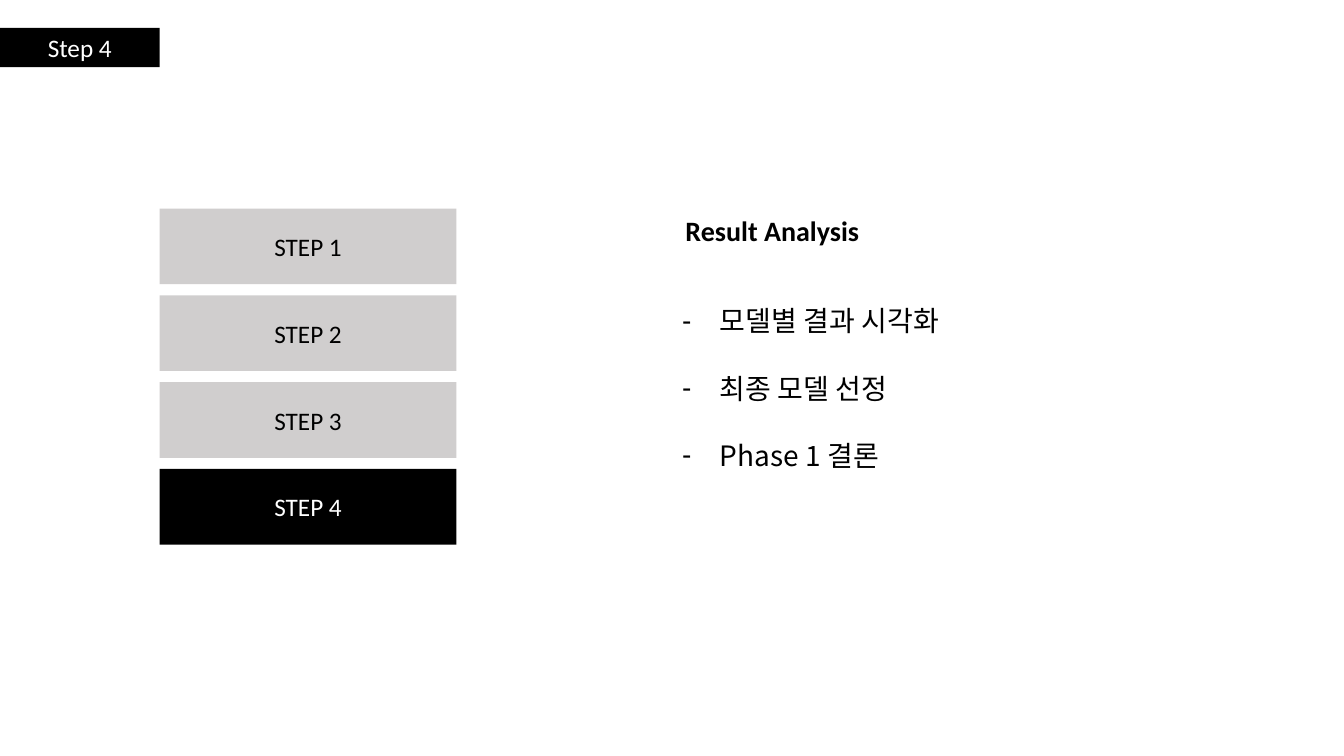
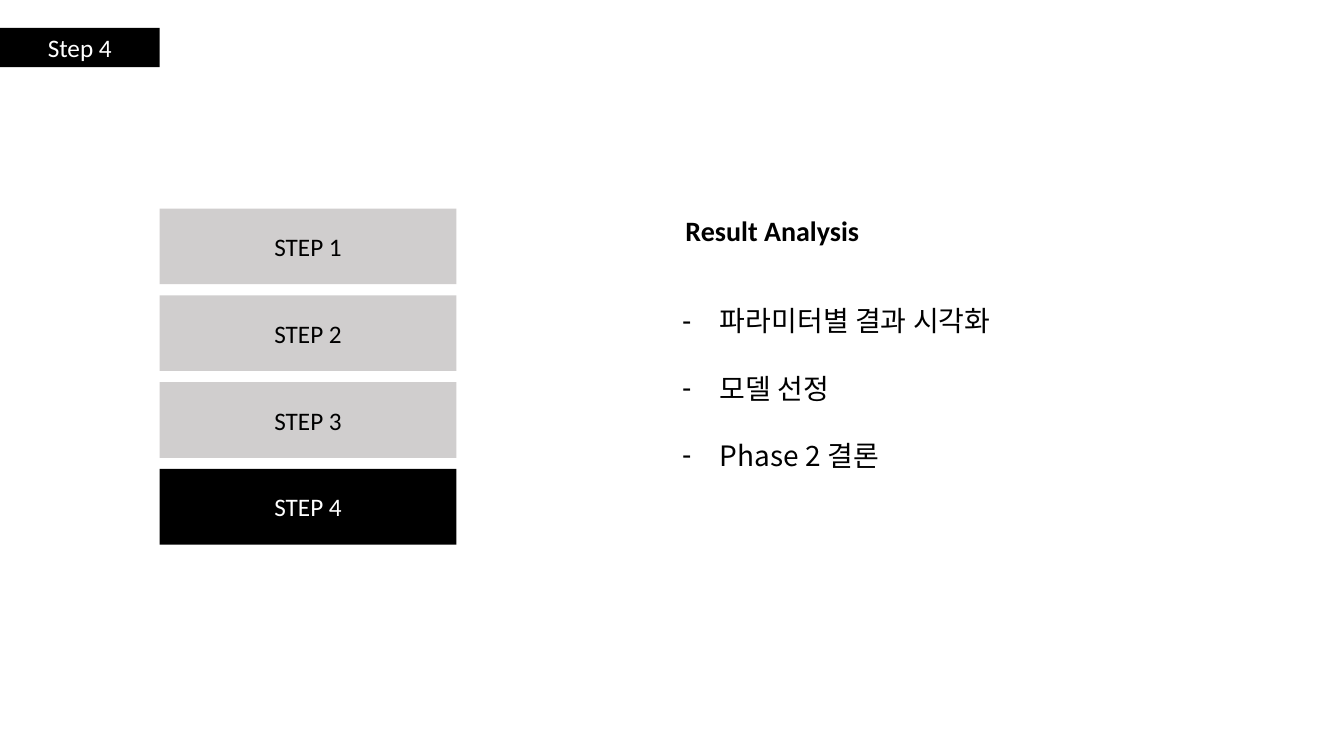
import pptx
import pptx.dml.color
import pptx.enum.shapes
import pptx.enum.text
import pptx.oxml.ns
import pptx.util
from lxml import etree

Pt = pptx.util.Pt
ALIGN = pptx.enum.text.PP_ALIGN
ANCHOR = pptx.enum.text.MSO_ANCHOR

STEPS = ["STEP 1", "STEP 2", "STEP 3", "STEP 4"]
CURRENT_STEP = "STEP 4"
BAND_LABEL = "Step 4"
SLIDES = [
    ("Result Analysis", ["모델별 결과 시각화", "최종 모델 선정", "Phase 1 결론"]),
    ("Result Analysis", ["파라미터별 결과 시각화", "모델 선정", "Phase 2 결론"]),
]

COLORS = {"black": "000000", "white": "FFFFFF", "grey": "D0CECE"}
LATIN_FONT = "Calibri"
KOREAN_FONT = "Noto Sans CJK KR"

# Left, top, width, height in points
BAND = (0, 20, 114, 28)
BAND_TEXT = (0, 19.5, 114, 29)
TITLE = (482.4, 149, 150.5, 31.5)
BODY = (480, 213.5, 392, 128)
STEP_LEFT, STEP_TOP, STEP_WIDTH, STEP_HEIGHT = 114, 149, 212, 54
STEP_PITCH = 62
BULLET_INDENT = 27
LINE_HEIGHT = 24


def points(box):
    return [Pt(length) for length in box]


def place(shape, box):
    shape.left, shape.top, shape.width, shape.height = points(box)


def color(name):
    return pptx.dml.color.RGBColor.from_string(COLORS[name])


def format_text(shape, size, color_name, font=LATIN_FONT, bold=False,
                align=ALIGN.LEFT, anchor=ANCHOR.TOP):
    frame = shape.text_frame
    frame.word_wrap = True
    frame.auto_size = pptx.enum.text.MSO_AUTO_SIZE.NONE
    frame.vertical_anchor = anchor
    for paragraph in frame.paragraphs:
        paragraph.alignment = align
        for run in paragraph.runs:
            run.font.size = Pt(size)
            run.font.bold = bold
            run.font.name = font
            run.font.color.rgb = color(color_name)
            east_asian = etree.SubElement(run.font._element, pptx.oxml.ns.qn("a:ea"))
            east_asian.set("typeface", font)


def add_rectangle(slide, box, fill):
    shape = slide.shapes.add_shape(
        pptx.enum.shapes.MSO_SHAPE.RECTANGLE, *points(box))
    shape.shadow.inherit = False
    shape.fill.solid()
    shape.fill.fore_color.rgb = color(fill)
    shape.line.fill.background()
    return shape


def move_to_layout(shape, layout):
    """Make a shape part of the layout, under an id that is free there."""
    used_ids = [other.shape_id for other in layout.shapes]
    shape.element.nvSpPr.cNvPr.set("id", str(max(used_ids) + 1))
    layout.shapes.element.append(shape.element)


def add_dash(paragraph):
    properties = paragraph._p.get_or_add_pPr()
    properties.set("marL", str(Pt(BULLET_INDENT)))
    properties.set("indent", str(-Pt(BULLET_INDENT)))
    bullet = etree.SubElement(properties, pptx.oxml.ns.qn("a:buChar"))
    bullet.set("char", "-")


def add_steps(slide):
    for index, step in enumerate(STEPS):
        is_current = step == CURRENT_STEP
        top = STEP_TOP + index * STEP_PITCH
        box = add_rectangle(slide, (STEP_LEFT, top, STEP_WIDTH, STEP_HEIGHT),
                            "black" if is_current else "grey")
        box.text_frame.text = step
        format_text(box, 18, "white" if is_current else "black",
                    align=ALIGN.CENTER, anchor=ANCHOR.MIDDLE)


def fill_slide(slide, title, items):
    add_steps(slide)

    slide.shapes.title.text_frame.text = title
    format_text(slide.shapes.title, 20, "black", bold=True)

    body = slide.placeholders[1]
    body.text_frame.text = "\n".join(items)
    format_text(body, 20, "black", font=KOREAN_FONT)
    for paragraph in body.text_frame.paragraphs:
        paragraph.line_spacing = Pt(LINE_HEIGHT)
        paragraph.space_before = Pt(0)
        paragraph.space_after = Pt(LINE_HEIGHT)
        add_dash(paragraph)

    label = slide.shapes.add_textbox(*points(BAND_TEXT))
    label.text_frame.text = BAND_LABEL
    format_text(label, 18, "white", align=ALIGN.CENTER)


def main():
    presentation = pptx.Presentation()
    presentation.slide_width = Pt(960)
    presentation.slide_height = Pt(540)

    layout = presentation.slide_layouts[1]
    place(layout.placeholders[0], TITLE)
    place(layout.placeholders[1], BODY)

    slides = [presentation.slides.add_slide(layout) for _ in SLIDES]
    move_to_layout(add_rectangle(slides[0], BAND, "black"), layout)
    for slide, (title, items) in zip(slides, SLIDES):
        fill_slide(slide, title, items)

    presentation.save("out.pptx")


if __name__ == "__main__":
    main()
